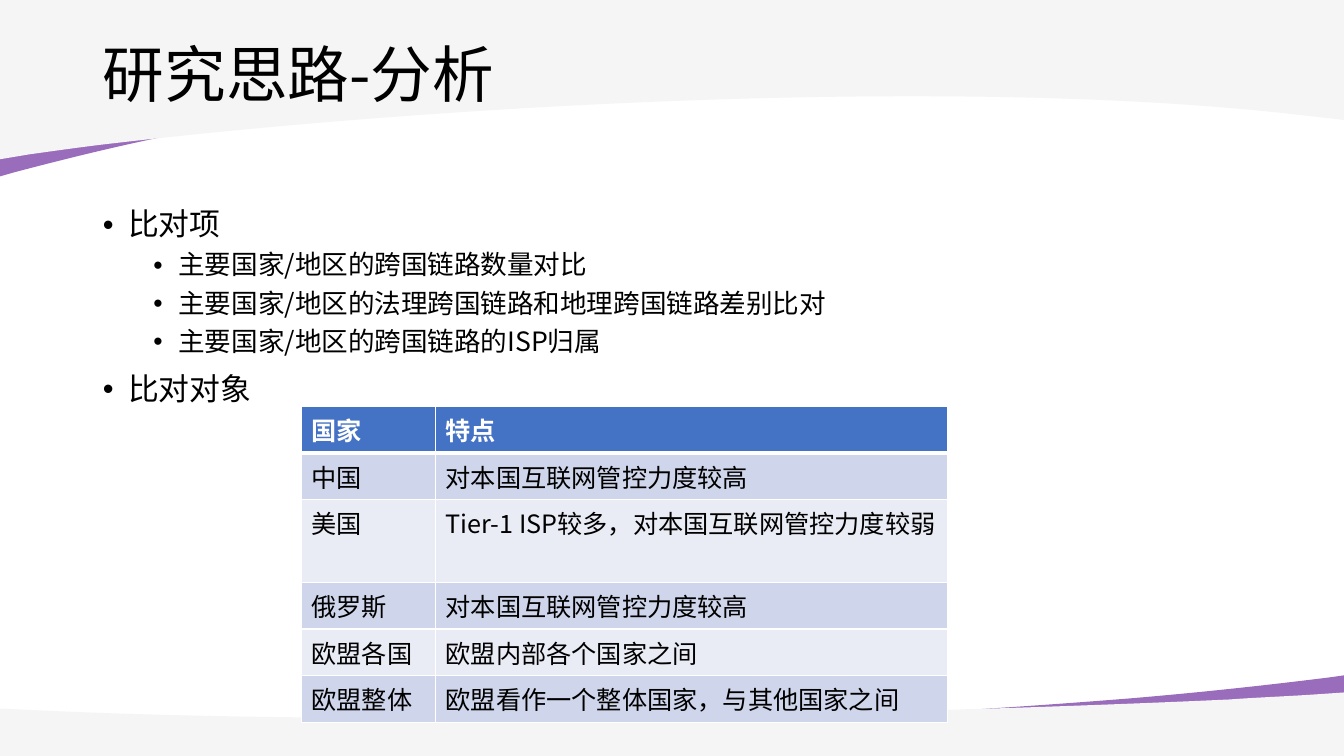
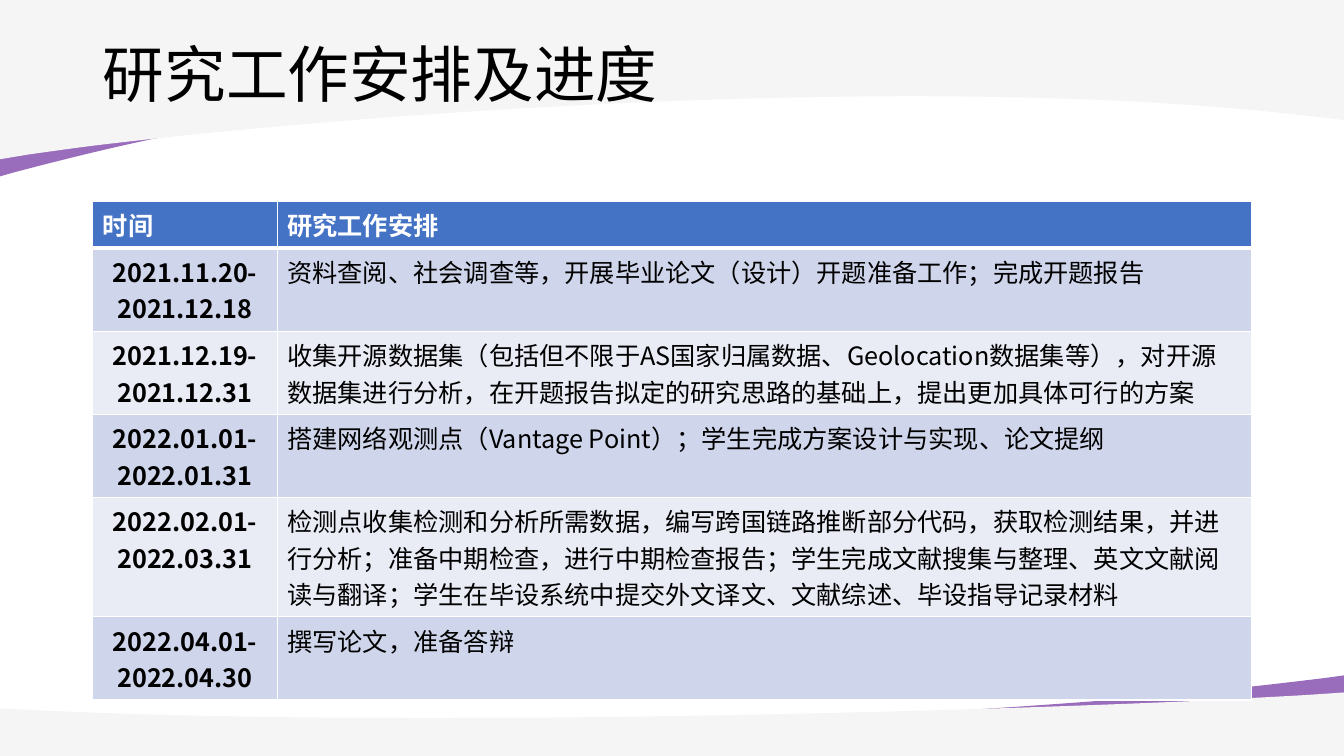
from dataclasses import dataclass

from lxml.etree import SubElement
from pptx import Presentation
from pptx.dml.color import RGBColor
from pptx.enum.text import MSO_ANCHOR, MSO_AUTO_SIZE, PP_ALIGN
from pptx.oxml import parse_xml
from pptx.oxml.ns import nsdecls, qn
from pptx.util import Inches, Pt

# Content
ANALYSIS_TITLE = "研究思路-分析"
ANALYSIS_POINTS = [
    (0, "比对项"),
    (1, "主要国家/地区的跨国链路数量对比"),
    (1, "主要国家/地区的法理跨国链路和地理跨国链路差别比对"),
    (1, "主要国家/地区的跨国链路的ISP归属"),
    (0, "比对对象"),
]
COUNTRIES = [
    ("国家", "特点"),
    ("中国", "对本国互联网管控力度较高"),
    ("美国", "Tier-1 ISP较多，对本国互联网管控力度较弱"),
    ("俄罗斯", "对本国互联网管控力度较高"),
    ("欧盟各国", "欧盟内部各个国家之间"),
    ("欧盟整体", "欧盟看作一个整体国家，与其他国家之间"),
]
SCHEDULE_TITLE = "研究工作安排及进度"
SCHEDULE = [
    ("时间", "研究工作安排"),
    ("2021.11.20-2021.12.18",
     "资料查阅、社会调查等，开展毕业论文（设计）开题准备工作；完成开题报告"),
    ("2021.12.19-2021.12.31",
     "收集开源数据集（包括但不限于AS国家归属数据、Geolocation数据集等），对开源数据集"
     "进行分析，在开题报告拟定的研究思路的基础上，提出更加具体可行的方案"),
    ("2022.01.01-2022.01.31",
     "搭建网络观测点（Vantage Point）；学生完成方案设计与实现、论文提纲"),
    ("2022.02.01-2022.03.31",
     "检测点收集检测和分析所需数据，编写跨国链路推断部分代码，获取检测结果，并进行分析；"
     "准备中期检查，进行中期检查报告；学生完成文献搜集与整理、英文文献阅读与翻译；"
     "学生在毕设系统中提交外文译文、文献综述、毕设指导记录材料"),
    ("2022.04.01-2022.04.30", "撰写论文，准备答辩"),
]


@dataclass(frozen=True)
class Theme:
    font: str = "Noto Sans CJK SC"
    text: str = "000000"
    white: str = "FFFFFF"
    purple: str = "7030A0"
    grey: str = "F5F5F5"
    header: str = "4472C4"
    bands: tuple = ("CFD5EA", "E9EBF5")
    title_size: int = 44
    body_sizes: tuple = (22, 19)
    body_gaps: tuple = (10, 5)
    table_size: int = 18


T = Theme()
W, H = 13.33, 7.5
LEFT, TOP, WIDTH = 0.92, 2, 11.5
ROW_H = 0.41

# Wave outlines: a pair is a line, six numbers are a Bezier curve
WAVES = [
    (T.purple, 70, [(W, 6.7), (W, 7.35), (0, 7.35), (0, 7.08), (0.01, 7.08),
                    (3.01, 7.41, 8.2, 7.17, 11.19, 6.93),
                    (11.79, 6.88, 12.47, 6.81, 13.19, 6.72)]),
    (T.grey, 100, [(W, 6.87), (W, 7.12), (W, 7.15), (W, H), (0, H), (0, 7.15),
                   (0, 7.12), (0, 7.03), (0.44, 7.05),
                   (3.92, 7.21, 9.1, 7.08, 12.19, 6.94),
                   (12.46, 6.92, 12.74, 6.91, 13.04, 6.89)]),
    (T.purple, 70, [(0, 1.75), (0, 0.34), (W, 0.34), (W, 0.92), (13.32, 0.92),
                    (10.32, 0.22, 5.14, 0.72, 2.14, 1.26),
                    (1.54, 1.36, 0.86, 1.52, 0.14, 1.71)]),
    (T.grey, 100, [(0, 1.58), (0, 0.94), (0, 0.89), (0, 0), (W, 0), (W, 0.89),
                   (W, 0.94), (W, 1.19), (12.89, 1.14),
                   (9.42, 0.74, 4.23, 1.06, 1.14, 1.42),
                   (0.87, 1.45, 0.59, 1.49, 0.3, 1.53)]),
]


def rgb(value):
    return RGBColor.from_string(value)


def add_wave(slide, segments):
    """Draw the corners as a freeform, then bend the curved sides."""
    first, *rest = [(Inches(seg[-2]), Inches(seg[-1])) for seg in segments]
    builder = slide.shapes.build_freeform(*first, scale=1.0)
    builder.add_line_segments(rest, close=True)
    sp = builder.convert_to_shape()
    sides = list(sp.element.iter(qn("a:lnTo")))
    for side, seg in zip(sides, segments[1:]):
        if len(seg) == 2:
            continue
        points = "".join(
            f'<a:pt x="{Inches(x) - sp.left}" y="{Inches(y) - sp.top}"/>'
            for x, y in zip(seg[::2], seg[1::2]))
        side.getparent().replace(side, parse_xml(
            f'<a:cubicBezTo {nsdecls("a")}>{points}</a:cubicBezTo>'))
    return sp


def add_run(p, text, size, color=T.text, bold=False):
    r = p.add_run()
    r.text = text
    r.font.size, r.font.bold = Pt(size), bold
    r.font.color.rgb = rgb(color)
    r.font.name = T.font
    SubElement(r.font._element, qn("a:ea"), typeface=T.font)


def setup_master(prs, slide):
    """Place the placeholders and the waves that all slides share."""
    master = prs.slide_master
    for ph, top, height in zip(master.placeholders, (0, TOP), (1.45, 4.76)):
        ph.left, ph.top = Inches(LEFT), Inches(top)
        ph.width, ph.height = Inches(WIDTH), Inches(height)
    for i, (color, alpha, segments) in enumerate(WAVES):
        sp = add_wave(slide, segments)
        sp.shadow.inherit = False
        sp.line.fill.background()
        sp.fill.solid()
        sp.fill.fore_color.rgb = rgb(color)
        if alpha < 100:
            clr = sp.element.spPr.find(".//" + qn("a:srgbClr"))
            SubElement(clr, qn("a:alpha"), val=str(alpha * 1000))
        sp.element.nvSpPr.cNvPr.set("id", str(100 + i))
        master.shapes.element.insert(2 + i, sp.element)


def set_title(slide, text):
    tf = slide.shapes.title.text_frame
    tf.auto_size = MSO_AUTO_SIZE.NONE
    tf.vertical_anchor = MSO_ANCHOR.MIDDLE
    p = tf.paragraphs[0]
    p.alignment = PP_ALIGN.LEFT
    add_run(p, text, T.title_size)


def set_bullets(slide, points):
    tf = slide.placeholders[1].text_frame
    tf.auto_size = MSO_AUTO_SIZE.NONE
    for i, (level, text) in enumerate(points):
        p = tf.add_paragraph() if i else tf.paragraphs[0]
        p.level, p.line_spacing = level, 0.98
        p.space_before = Pt(T.body_gaps[level])
        pPr = p._p.get_or_add_pPr()
        pPr.set("marL", str(Inches(0.25 + 0.5 * level)))
        pPr.set("indent", str(Inches(-0.25)))
        SubElement(pPr, qn("a:buFont"), typeface="Arial")
        SubElement(pPr, qn("a:buChar"), char="•")
        add_run(p, text, T.body_sizes[level])


def set_borders(cell, top, bottom):
    tcPr = cell._tc.get_or_add_tcPr()
    for i, (side, width) in enumerate(zip("LRTB", (1, 1, top, bottom))):
        tcPr.insert(i, parse_xml(
            f'<a:ln{side} {nsdecls("a")} w="{Pt(width)}"><a:solidFill>'
            f'<a:srgbClr val="{T.white}"/></a:solidFill></a:ln{side}>'))


def add_grid(slide, rows, left, top, col_widths, dates=False):
    """Add a banded table; with dates, the first column is bold and centred."""
    frame = slide.shapes.add_table(
        len(rows), len(col_widths), Inches(left), Inches(top),
        Inches(sum(col_widths)), Inches(ROW_H * len(rows)))
    table = frame.table
    for col, width in zip(table.columns, col_widths):
        col.width = Inches(width)
    for r, row in enumerate(rows):
        table.rows[r].height = Inches(ROW_H)
        head = r == 0
        for c, text in enumerate(row):
            cell = table.cell(r, c)
            date = dates and c == 0 and not head
            cell.fill.solid()
            cell.fill.fore_color.rgb = rgb(T.header if head else T.bands[(r - 1) % 2])
            set_borders(cell, 3 if r == 1 else 1, 3 if head else 1)
            p = cell.text_frame.paragraphs[0]
            p.alignment = PP_ALIGN.CENTER if date else PP_ALIGN.LEFT
            add_run(p, text, T.table_size, T.white if head else T.text, head or date)


def main():
    prs = Presentation()
    prs.slide_width, prs.slide_height = Inches(W), Inches(H)

    # Analysis slide
    s = prs.slides.add_slide(prs.slide_layouts[1])
    setup_master(prs, s)
    set_title(s, ANALYSIS_TITLE)
    set_bullets(s, ANALYSIS_POINTS)
    add_grid(s, COUNTRIES, 2.99, 4.03, (1.33, 5.08))

    # Schedule slide
    s = prs.slides.add_slide(prs.slide_layouts[5])
    set_title(s, SCHEDULE_TITLE)
    add_grid(s, SCHEDULE, LEFT, TOP, (1.83, 9.66), dates=True)

    prs.save("out.pptx")


if __name__ == "__main__":
    main()
